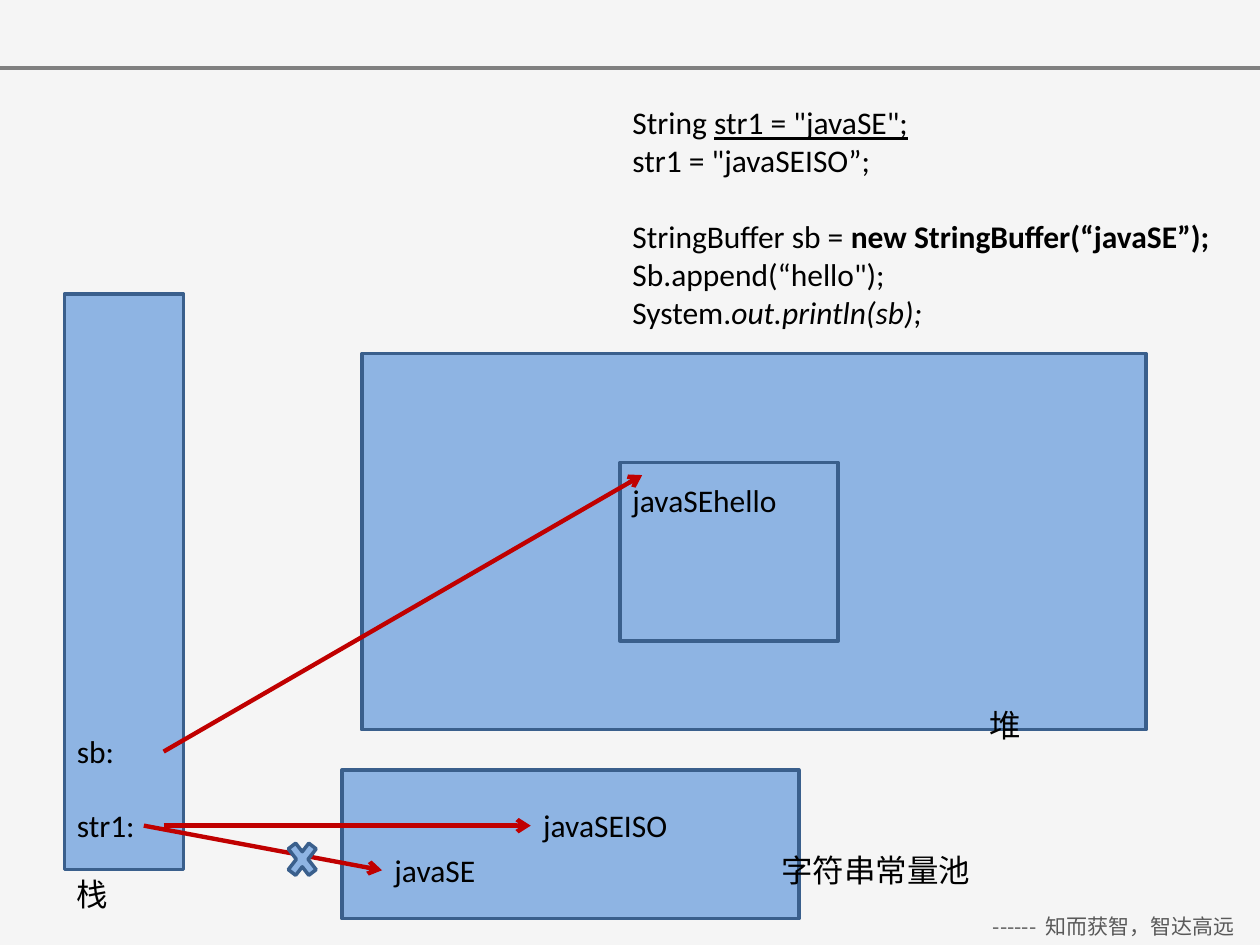
from lxml import etree
from pptx import Presentation
from pptx.dml.color import RGBColor
from pptx.enum.shapes import MSO_CONNECTOR as Conn, MSO_SHAPE as Shape
from pptx.enum.text import MSO_AUTO_SIZE as Auto, PP_ALIGN as Align
from pptx.oxml.ns import qn
from pptx.util import Pt

COLORS = {
    "back": "F5F5F5", "rule": "808080", "footer": "595959", "text": "000000",
    "fill": "8EB4E3", "edge": "3A5F8C", "arrow": "C00000",
}
LATIN, CJK = "Calibri", "Noto Sans CJK SC"
LINE_H = 22  # one line of 18 pt text
LABEL_H = 29


def rgb(name):
    return RGBColor.from_string(COLORS[name])


class Board:
    def __init__(self, prs):
        self.slide = prs.slides.add_slide(prs.slide_layouts[6])
        self.shapes = self.slide.shapes
        fill = self.slide.background.fill
        fill.solid()
        fill.fore_color.rgb = rgb("back")

    def style_run(self, r, size, color, font):
        r.font.size, r.font.name = Pt(size), font
        r.font.color.rgb = rgb(color)
        ea = etree.SubElement(r.font._element, qn("a:ea"))
        ea.set("typeface", CJK)

    def text(self, x, y, w, lines, h=LABEL_H, size=18, color="text",
             font=LATIN, align=Align.LEFT):
        """Each line is a list of (text, emphasis) runs."""
        sp = self.shapes.add_textbox(Pt(x), Pt(y), Pt(w), Pt(h))
        tf = sp.text_frame
        tf.word_wrap, tf.auto_size = True, Auto.SHAPE_TO_FIT_TEXT
        for i, runs in enumerate(lines):
            p = tf.add_paragraph() if i else tf.paragraphs[0]
            p.alignment = align
            for words, emphasis in runs:
                r = p.add_run()
                r.text = words
                self.style_run(r, size, color, font)
                if emphasis:
                    setattr(r.font, emphasis, True)
        return sp

    def label(self, x, y, w, words):
        return self.text(x, y, w, [[(words, None)]])

    def shape(self, x, y, w, h, kind=Shape.RECTANGLE):
        sp = self.shapes.add_shape(kind, Pt(x), Pt(y), Pt(w), Pt(h))
        sp.shadow.inherit = False
        sp.fill.solid()
        sp.fill.fore_color.rgb = rgb("fill")
        sp.line.color.rgb = rgb("edge")
        sp.line.width = Pt(2)
        return sp

    def line(self, x1, y1, x2, y2, color, width):
        cn = self.shapes.add_connector(Conn.STRAIGHT, Pt(x1), Pt(y1), Pt(x2), Pt(y2))
        cn.line.color.rgb = rgb(color)
        cn.line.width = Pt(width)
        etree.SubElement(cn._element.spPr, qn("a:effectLst"))
        return cn

    def arrow(self, x1, y1, x2, y2, target=None):
        cn = self.line(x1, y1, x2, y2, "arrow", 2.5)
        if target is not None:
            cn.end_connect(target, 1)
        etree.SubElement(cn.line._get_or_add_ln(), qn("a:tailEnd")).set("type", "arrow")


def main():
    prs = Presentation()
    prs.slide_width, prs.slide_height = Pt(720), Pt(540)
    b = Board(prs)

    # Header rule and footer motto
    b.line(0, 39, 720, 39, "rule", 2)
    b.text(553, 518.4, 167, [[("------  知而获智，智达高远", None)]], h=21.6,
           size=12, color="footer", font=CJK, align=Align.CENTER)

    # Code sample, with a one-line gap before the StringBuffer part
    code = b.text(354.3, 55.5, 360, [
        [("String ", None), ('str1 = "javaSE";', "underline")],
        [('str1 = "javaSEISO”;', None)],
        [("StringBuffer sb = ", None), ("new StringBuffer(“javaSE”);", "bold")],
        [("Sb.append(“hello\");", None)],
        [("System.", None), ("out.println(sb);", "italic")],
    ], h=138.5)
    code.text_frame.paragraphs[2].space_before = Pt(LINE_H)

    # Memory areas: stack, heap and string pool
    b.shape(36.8, 168, 68, 329)
    b.shape(206.8, 202, 448, 215)
    b.shape(195.5, 440, 261, 85)
    b.label(36.8, 496.6, 79, "栈")
    b.label(558.5, 400, 156, "堆")
    b.label(439.5, 482.5, 136, "字符串常量池")

    # str1 drops its old string and points to the new one
    b.label(36.8, 457.3, 68, "str1:")
    old = b.label(218.3, 482.8, 85, "javaSE")
    b.arrow(82.2, 471.8, 218.3, 497.3, old)
    new = b.label(303.3, 457.3, 127.5, "javaSEISO")
    b.arrow(93.5, 471.8, 303.3, 471.8, new)
    b.shape(161.5, 476.5, 22.5, 29, Shape.MATH_MULTIPLY)

    # sb points to its buffer in the heap
    b.label(36.8, 415, 68, "sb:")
    b.shape(354.3, 264.3, 124.7, 102)
    b.label(354.3, 271.5, 139, "javaSEhello")
    b.arrow(93.5, 429.5, 367, 271.5)

    prs.save("out.pptx")


if __name__ == "__main__":
    main()
